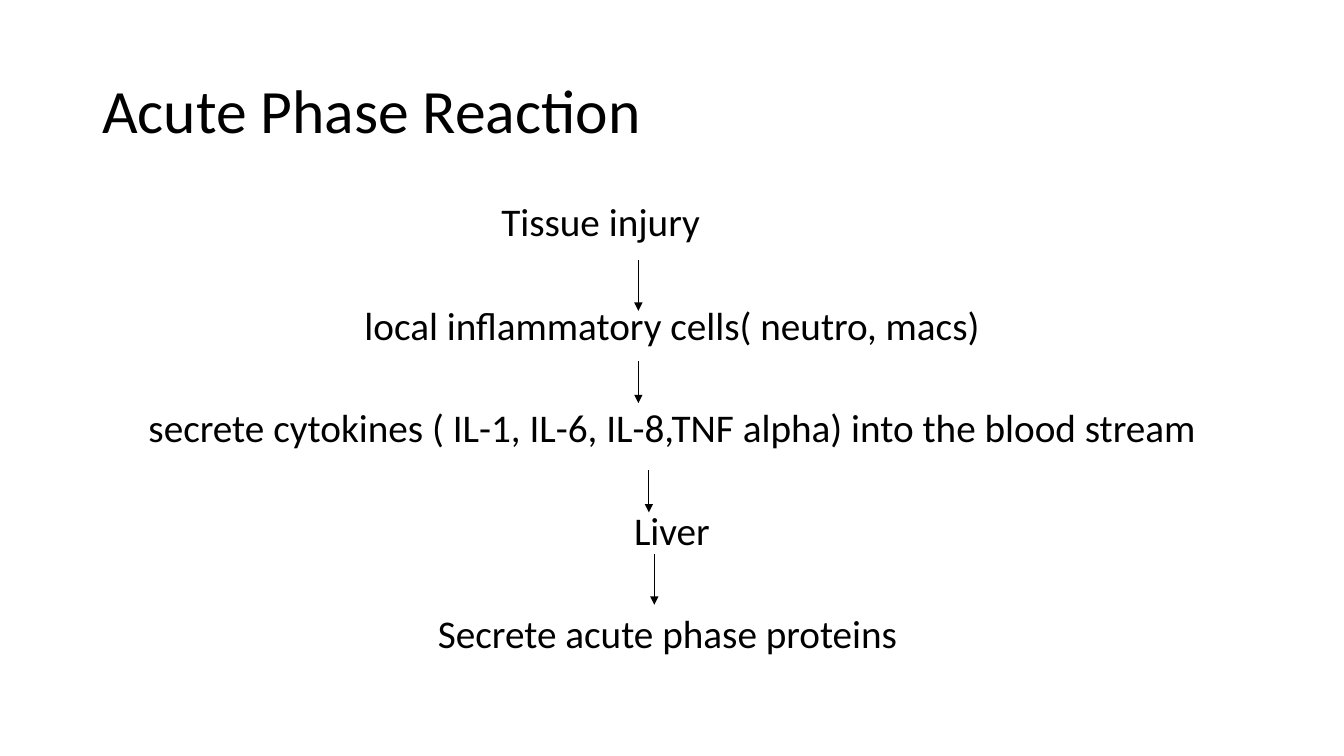
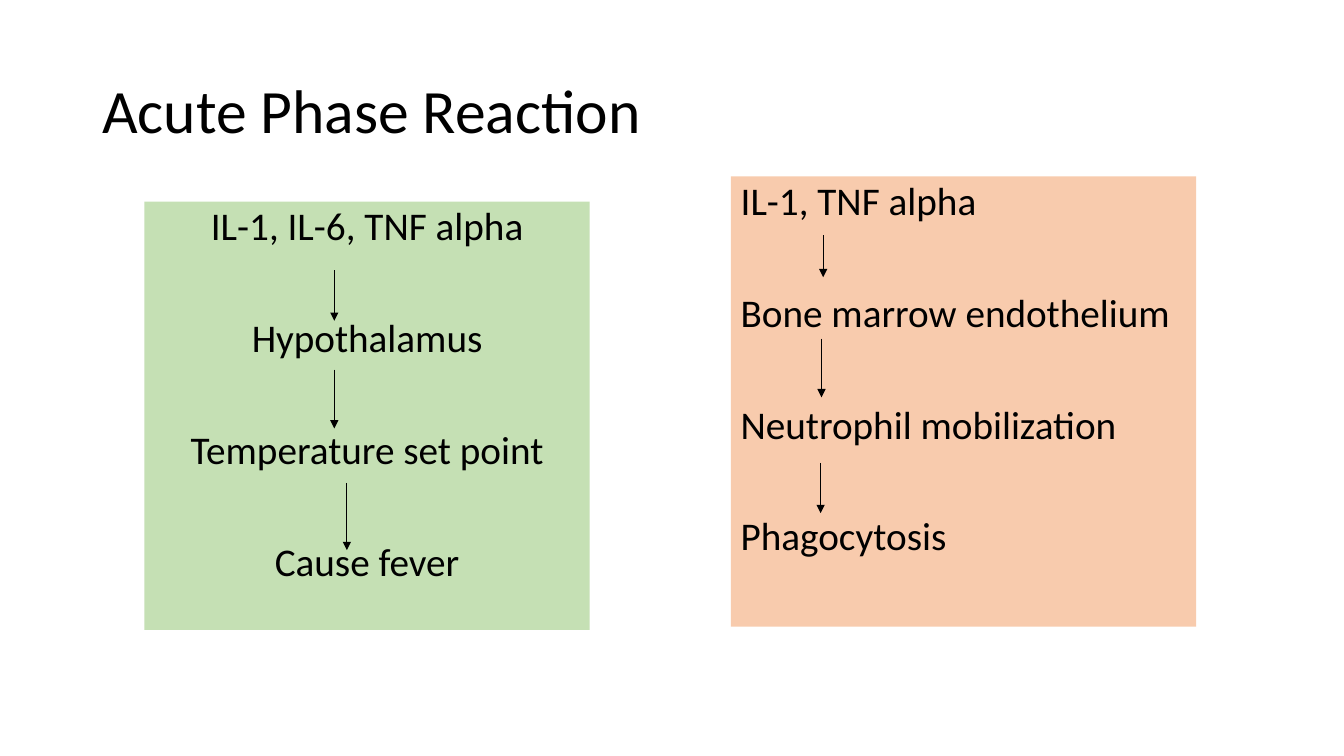
import pptx
import pptx.dml.color
import pptx.enum.shapes
import pptx.enum.text
import pptx.oxml.ns
import pptx.util
import lxml.etree

CELL = pptx.util.Inches(1) // 12
COLUMNS, ROWS = 160, 90
FONT = "Calibri"
INK = "000000"
GREEN = "C5E0B4"
ORANGE = "F8CBAD"
TITLE = "Acute Phase Reaction"
TITLE_AREA = (11, 4.8, 138, 17.4)
TITLE_SIZE = 44
STEP_SIZE = 28
LEFT = pptx.enum.text.PP_ALIGN.LEFT
CENTER = pptx.enum.text.PP_ALIGN.CENTER
TOP = pptx.enum.text.MSO_ANCHOR.TOP
MIDDLE = pptx.enum.text.MSO_ANCHOR.MIDDLE


def cells(*counts):
    """Turn counts of grid cells into lengths."""
    return [round(count * CELL) for count in counts]


def color(hex_string):
    """Turn a hex string into a colour."""
    return pptx.dml.color.RGBColor.from_string(hex_string)


def write_lines(box, lines, size, align, line_spacing, gap=0, anchor=TOP):
    """Write one paragraph per line, with a gap in points between them."""
    frame = box.text_frame
    frame.word_wrap = True
    frame.vertical_anchor = anchor
    frame.text = "\n".join(lines)
    for index, para in enumerate(frame.paragraphs):
        para.alignment = align
        para.line_spacing = line_spacing
        para.space_before = pptx.util.Pt(gap if index else 0)
        for span in para.runs:
            span.font.name = FONT
            span.font.size = pptx.util.Pt(size)
            span.font.color.rgb = color(INK)


def add_titled_page(deck):
    """Add a blank page with the shared title."""
    page = deck.slides.add_slide(deck.slide_layouts[6])
    box = page.shapes.add_textbox(*cells(*TITLE_AREA))
    write_lines(box, [TITLE], TITLE_SIZE, LEFT, 0.9, anchor=MIDDLE)
    return page


def add_steps(page, area, lines):
    """Add centred steps on the plain page."""
    box = page.shapes.add_textbox(*cells(*area))
    write_lines(box, lines, STEP_SIZE, CENTER, 0.8, gap=46.5)


def add_panel(page, area, fill, lines, align):
    """Add steps on a coloured rectangle."""
    rectangle = pptx.enum.shapes.MSO_SHAPE.RECTANGLE
    panel = page.shapes.add_shape(rectangle, *cells(*area))
    panel.shadow.inherit = False
    panel.fill.solid()
    panel.fill.fore_color.rgb = color(fill)
    panel.line.fill.background()
    write_lines(panel, lines, STEP_SIZE, align, 0.9, gap=49.7)


def add_down_arrows(page, arrows):
    """Add vertical arrows, each given as column, start row and end row."""
    straight = pptx.enum.shapes.MSO_CONNECTOR.STRAIGHT
    for column, start, end in arrows:
        arrow = page.shapes.add_connector(straight, *cells(column, start, column, end))
        arrow.line.color.rgb = color(INK)
        arrow.line.width = pptx.util.Pt(0.75)
        outline = arrow.line._get_or_add_ln()
        head = lxml.etree.SubElement(outline, pptx.oxml.ns.qn("a:tailEnd"))
        head.set("type", "triangle")
        properties = arrow._element.spPr
        lxml.etree.SubElement(properties, pptx.oxml.ns.qn("a:effectLst"))


def build_liver_page(deck):
    """Build the path from injury to acute phase proteins."""
    page = add_titled_page(deck)
    add_steps(page, (11, 24, 121, 8), ["Tissue injury"])
    add_steps(page, (11, 36.3, 138, 44.8), [
        "local inflammatory cells( neutro, macs)",
        "secrete cytokines ( IL-1, IL-6, IL-8,TNF alpha) into the blood stream",
        "Liver",
        "Secrete acute phase proteins ",
    ])
    add_down_arrows(page, [
        (76, 31, 37), (76, 43, 48), (77.25, 56, 61), (77.9, 66, 72),
    ])


def build_effects_page(deck):
    """Build the fever and neutrophil paths side by side."""
    page = add_titled_page(deck)
    add_panel(page, (17.2, 24, 53, 51), GREEN, [
        "IL-1, IL-6, TNF alpha", "Hypothalamus",
        "Temperature set point", "Cause fever",
    ], CENTER)
    add_panel(page, (87, 21, 55.4, 53.6), ORANGE, [
        "IL-1, TNF alpha", "Bone marrow endothelium",
        "Neutrophil mobilization", "Phagocytosis",
    ], LEFT)
    add_down_arrows(page, [
        (39.8, 32.2, 38.2), (39.8, 44, 51), (41.3, 57.5, 65.5),
        (98, 28, 33), (97.8, 40.3, 47.3), (97.7, 55.1, 61.1),
    ])


def main():
    """Build and save the deck."""
    deck = pptx.Presentation()
    deck.slide_width, deck.slide_height = cells(COLUMNS, ROWS)
    build_liver_page(deck)
    build_effects_page(deck)
    deck.save("out.pptx")


if __name__ == "__main__":
    main()
